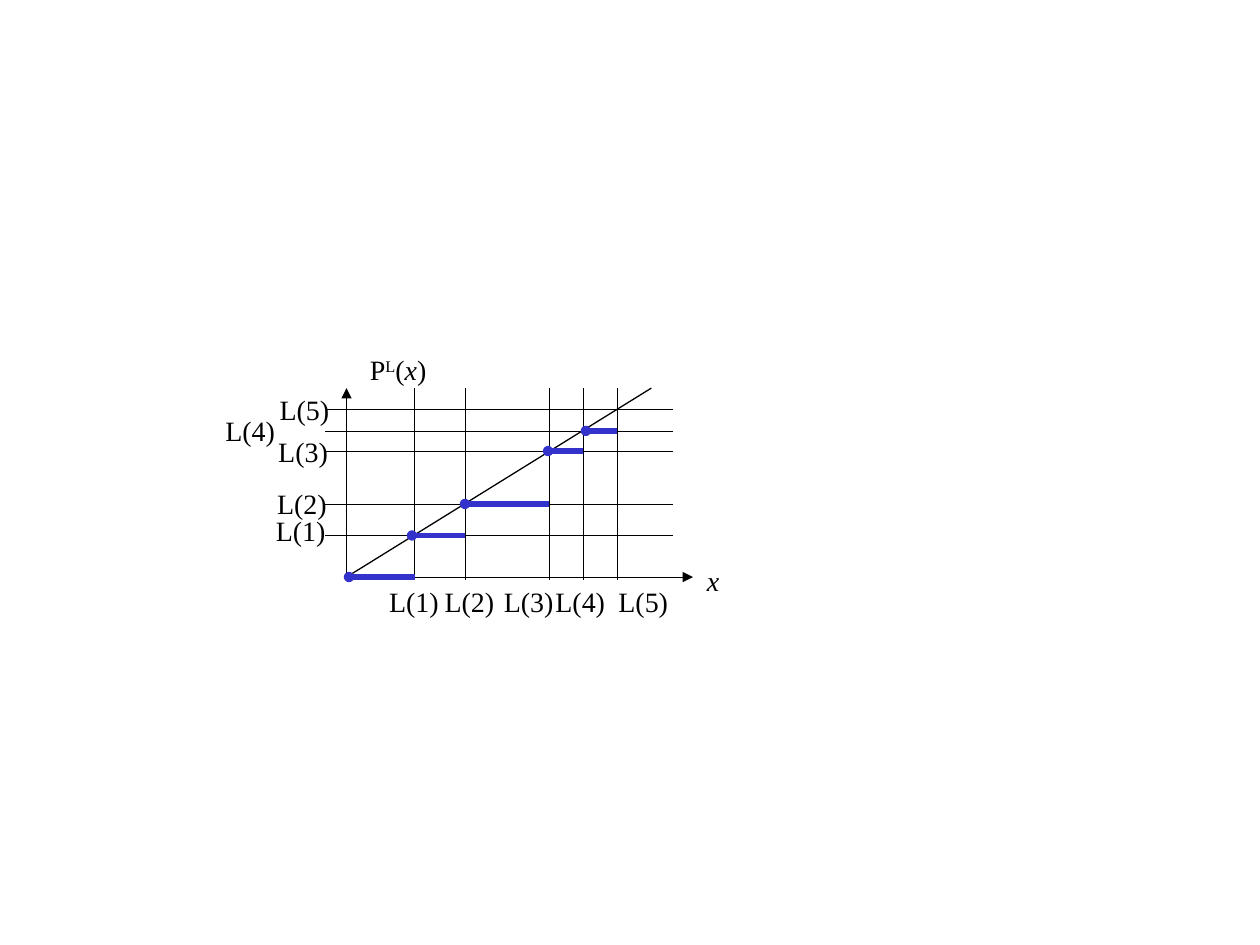
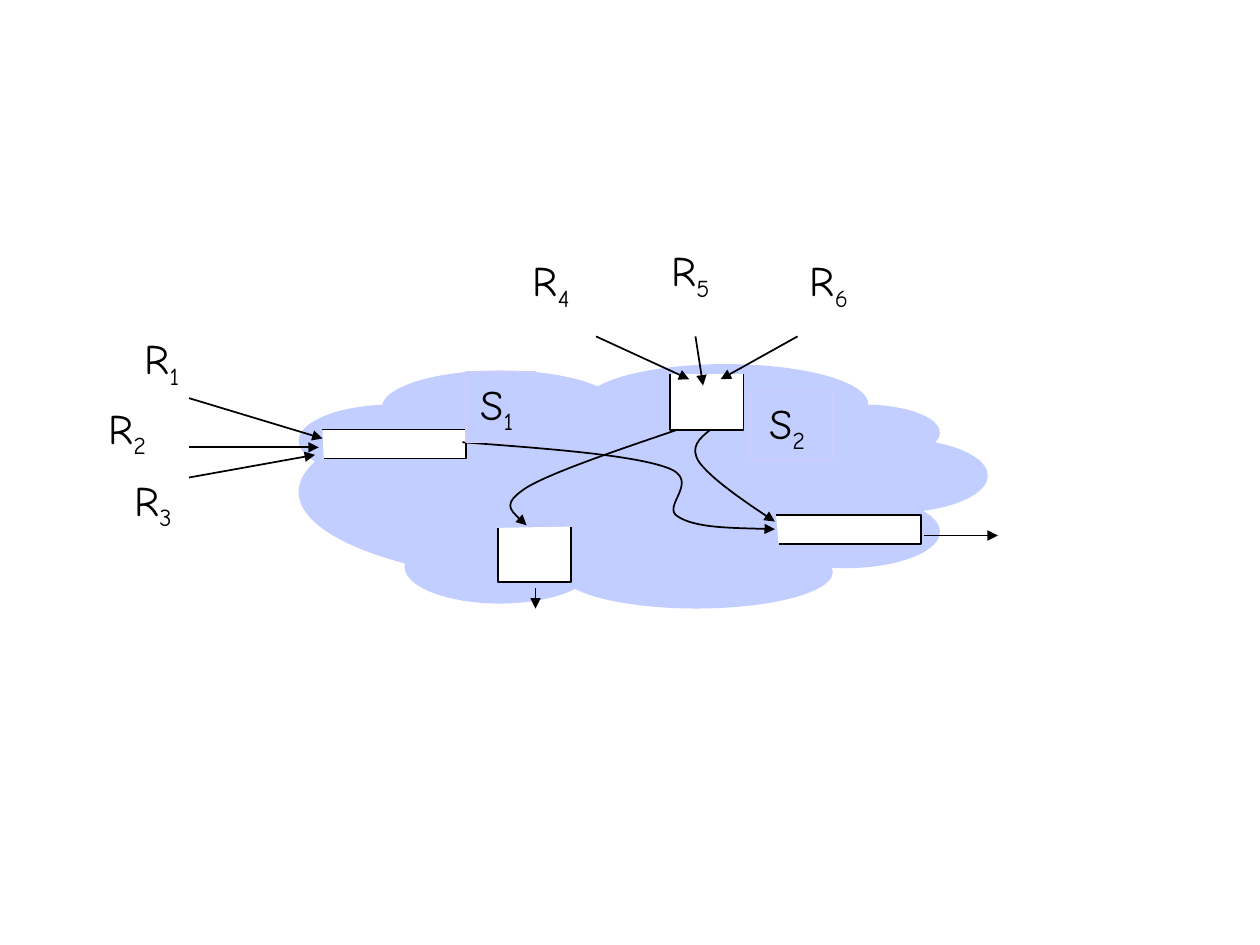
import pptx
import pptx.dml.color
import pptx.enum.shapes
import pptx.enum.text
import pptx.oxml.ns
import pptx.util
from lxml import etree

BLACK = pptx.dml.color.RGBColor(0x00, 0x00, 0x00)
WHITE = pptx.dml.color.RGBColor(0xFF, 0xFF, 0xFF)
STEP_BLUE = pptx.dml.color.RGBColor(0x33, 0x33, 0xCC)
CLOUD_BLUE = pptx.dml.color.RGBColor(0xC1, 0xCE, 0xFF)
FRAME_LILAC = pptx.dml.color.RGBColor(0xCC, 0xCC, 0xFF)
CM_PER_INCH = 2.54

LEVEL_NAMES = ["L(1)", "L(2)", "L(3)", "L(4)", "L(5)"]
LEVEL_X = [3.29, 3.69, 4.36, 4.63, 4.9]
LEVEL_Y = [4.25, 4, 3.58, 3.42, 3.25]
ORIGIN = (2.75, 4.58)
AXIS_ENDS = [(5.5, 4.58), (2.75, 3.08)]
DIAGONAL_END = (5.17, 3.08)
GRID_LEFT, GRID_RIGHT, GRID_TOP, GRID_BOTTOM = 2.58, 5.33, 3.08, 4.6
DOT_LEFTS = [2.75, 3.25, 3.67, 4.33, 4.63]
DOT_SIZE = 0.04
LABEL_SIZE = (0.59, 0.37)
X_LABEL_LEFTS = [2.99, 3.43, 3.9, 4.31, 4.81]
X_LABEL_TOP = 4.59
Y_LABEL_PLACES = [(2.09, 4.02), (2.1, 3.81), (2.11, 3.4), (1.69, 3.23), (2.12, 3.06)]
AXIS_TITLES = [
    ((5.51, 4.42, 0.3, 0.37), [("x", "italic")]),
    ((2.84, 2.75, 0.64, 0.37),
     [("P", ""), ("L", "super"), ("(", ""), ("x", "italic"), (")", "")]),
]

SOURCE_PLACES = [(1.05, 2.59, 0.47), (0.76, 3.14, 0.5), (0.97, 3.71, 0.49),
                 (4.13, 1.97, 0.49), (5.23, 1.89, 0.5), (6.33, 1.97, 0.5)]
SOURCE_HEIGHT = 0.56
CLOUD_PUFFS = [
    (2.37, 3.16, 4.8, 1.49), (4.63, 2.89, 2.26, 0.63), (6.23, 3.21, 1.23, 0.45),
    (6.33, 3.48, 1.51, 0.59), (5.95, 3.93, 1.51, 0.58), (3.21, 4.2, 1.51, 0.59),
    (4.44, 4.25, 2.17, 0.58), (2.37, 3.21, 1.51, 0.58), (3.03, 2.94, 1.88, 0.59),
]
QUEUES = [
    [(2.56, 3.41), (3.7, 3.41), (3.7, 3.64), (2.57, 3.64)],
    [(6.16, 4.09), (7.31, 4.09), (7.31, 4.32), (6.18, 4.32)],
    [(5.9, 2.97), (5.9, 3.41), (5.32, 3.41), (5.32, 2.97)],
    [(4.53, 4.18), (4.53, 4.62), (3.95, 4.62), (3.95, 4.19)],
]
FLOW_ARROWS = [
    ((1.5, 3.16), (2.56, 3.48)), ((1.5, 3.55), (2.53, 3.55)),
    ((1.5, 3.79), (2.5, 3.61)), ((5.52, 2.67), (5.58, 3.06)),
    ((6.33, 2.67), (5.72, 3.01)), ((4.73, 2.67), (5.47, 3.01)),
    ((7.33, 4.25), (7.92, 4.25)), ((4.25, 4.67), (4.25, 4.83)),
]
FLOW_CURVES = [
    [(3.67, 3.51), (4.34, 3.56), (5.01, 3.61), (5.29, 3.71), (5.58, 3.81),
     (5.24, 4.02), (5.38, 4.1), (5.52, 4.19), (5.84, 4.19), (6.15, 4.2)],
    [(5.64, 3.41), (5.55, 3.48), (5.47, 3.55), (5.55, 3.67), (5.64, 3.79),
     (5.89, 3.97), (6.15, 4.14)],
    [(5.38, 3.41), (4.88, 3.58), (4.38, 3.75), (4.18, 3.87), (3.98, 4),
     (4.08, 4.08), (4.18, 4.17)],
]
SERVERS = [((3.7, 2.95, 0.55, 0.56), "1 "), ((5.95, 3.1, 0.66, 0.56), "2 ")]


def lengths(*inches):
    return [pptx.util.Cm(value * CM_PER_INCH) for value in inches]


def set_line(shape, color, width, arrow=False, dotted=False):
    shape.line.color.rgb = color
    shape.line.width = pptx.util.Pt(width)
    outline = shape.line._get_or_add_ln()
    if dotted:
        etree.SubElement(outline, pptx.oxml.ns.qn("a:prstDash"), val="sysDot")
    etree.SubElement(outline, pptx.oxml.ns.qn("a:round"))
    if arrow:
        etree.SubElement(outline, pptx.oxml.ns.qn("a:tailEnd"), type="triangle")


def set_fill(shape, color):
    shape.shadow.inherit = False
    if color is None:
        shape.fill.background()
    else:
        shape.fill.solid()
        shape.fill.fore_color.rgb = color


def add_line(page, start, end, color=BLACK, width=1, arrow=False, dotted=False):
    line = page.shapes.add_connector(
        pptx.enum.shapes.MSO_CONNECTOR.STRAIGHT, *lengths(*start, *end))
    set_line(line, color, width, arrow, dotted)
    etree.SubElement(line._element.spPr, pptx.oxml.ns.qn("a:effectLst"))


def add_ellipse(page, place, color):
    ellipse = page.shapes.add_shape(
        pptx.enum.shapes.MSO_SHAPE.OVAL, *lengths(*place))
    set_fill(ellipse, color)
    ellipse.line.fill.background()
    return ellipse


def add_outline(page, points, color=None, arrow=False):
    start, *rest = [lengths(*point) for point in points]
    builder = page.shapes.build_freeform(*start)
    builder.add_line_segments(rest, close=False)
    shape = builder.convert_to_shape()
    set_fill(shape, color)
    set_line(shape, BLACK, 1, arrow)
    return shape


def add_curve(page, points):
    shape = add_outline(page, points, arrow=True)
    route = shape._element.find(".//" + pptx.oxml.ns.qn("a:path"))
    segments = route.findall(pptx.oxml.ns.qn("a:lnTo"))
    for first in range(0, len(segments), 3):
        bend = etree.SubElement(route, pptx.oxml.ns.qn("a:cubicBezTo"))
        for segment in segments[first:first + 3]:
            bend.append(segment[0])
            route.remove(segment)


def add_label(page, place, spans, font, size, wrap=False):
    box = page.shapes.add_textbox(*lengths(*place))
    frame = box.text_frame
    frame.word_wrap = wrap
    if not wrap:
        frame.margin_left = frame.margin_right = pptx.util.Cm(0)
    frame.auto_size = pptx.enum.text.MSO_AUTO_SIZE.NONE
    frame.vertical_anchor = pptx.enum.text.MSO_ANCHOR.MIDDLE
    para = frame.paragraphs[0]
    para.alignment = pptx.enum.text.PP_ALIGN.CENTER
    para.font.name = font
    para.font.size = pptx.util.Pt(size)
    para.font.color.rgb = BLACK
    for text, style in spans:
        span = para.add_run()
        span.text = text
        if style == "italic":
            span.font.italic = True
        elif style:
            shift = {"super": "30000", "sub": "-25000"}[style]
            span._r.get_or_add_rPr().set("baseline", shift)
    return box


def add_plot_label(page, place, spans):
    add_label(page, place, spans, "Times New Roman", 16)


def add_node_label(page, place, letter, index, fill, frame_color, wrap):
    box = add_label(page, place, [(letter, ""), (index, "sub")], "Comic Neue", 24, wrap)
    set_fill(box, fill)
    set_line(box, frame_color, 1)


def build_step_plot(page):
    for end in AXIS_ENDS:
        add_line(page, ORIGIN, end, width=0.25, arrow=True)
    for x, y in zip(LEVEL_X, LEVEL_Y):
        add_line(page, (GRID_LEFT, y), (GRID_RIGHT, y), width=0.25, dotted=True)
        add_line(page, (x, GRID_BOTTOM), (x, GRID_TOP), width=0.25, dotted=True)
    add_line(page, ORIGIN, DIAGONAL_END, width=0.75)

    step_starts = [ORIGIN, *zip(LEVEL_X, LEVEL_Y)]
    for (x, y), next_x, dot_left in zip(step_starts, LEVEL_X, DOT_LEFTS):
        add_line(page, (x, y), (next_x, y), STEP_BLUE, 3)
        dot = add_ellipse(page, (dot_left, y - DOT_SIZE / 2, DOT_SIZE, DOT_SIZE), BLACK)
        set_line(dot, STEP_BLUE, 3)

    for name, left, y_place in zip(LEVEL_NAMES, X_LABEL_LEFTS, Y_LABEL_PLACES):
        for place in [(left, X_LABEL_TOP), y_place]:
            add_plot_label(page, (*place, *LABEL_SIZE), [(name, "")])
    for place, spans in AXIS_TITLES:
        add_plot_label(page, place, spans)


def build_network(page):
    for number, place in enumerate(SOURCE_PLACES, 1):
        add_node_label(page, (*place, SOURCE_HEIGHT), "R", str(number), WHITE, WHITE, False)
    for puff in CLOUD_PUFFS:
        add_ellipse(page, puff, CLOUD_BLUE)
    for corners in QUEUES:
        add_outline(page, corners, WHITE)
    for start, end in FLOW_ARROWS:
        add_line(page, start, end, arrow=True)
    for points in FLOW_CURVES:
        add_curve(page, points)
    for place, index in SERVERS:
        add_node_label(page, place, "S", index, None, FRAME_LILAC, True)


def main():
    deck = pptx.Presentation()
    deck.slide_width, deck.slide_height = lengths(10, 7.5)
    blank = deck.slide_layouts[6]
    for build in [build_step_plot, build_network]:
        build(deck.slides.add_slide(blank))
    deck.save("out.pptx")


if __name__ == "__main__":
    main()
